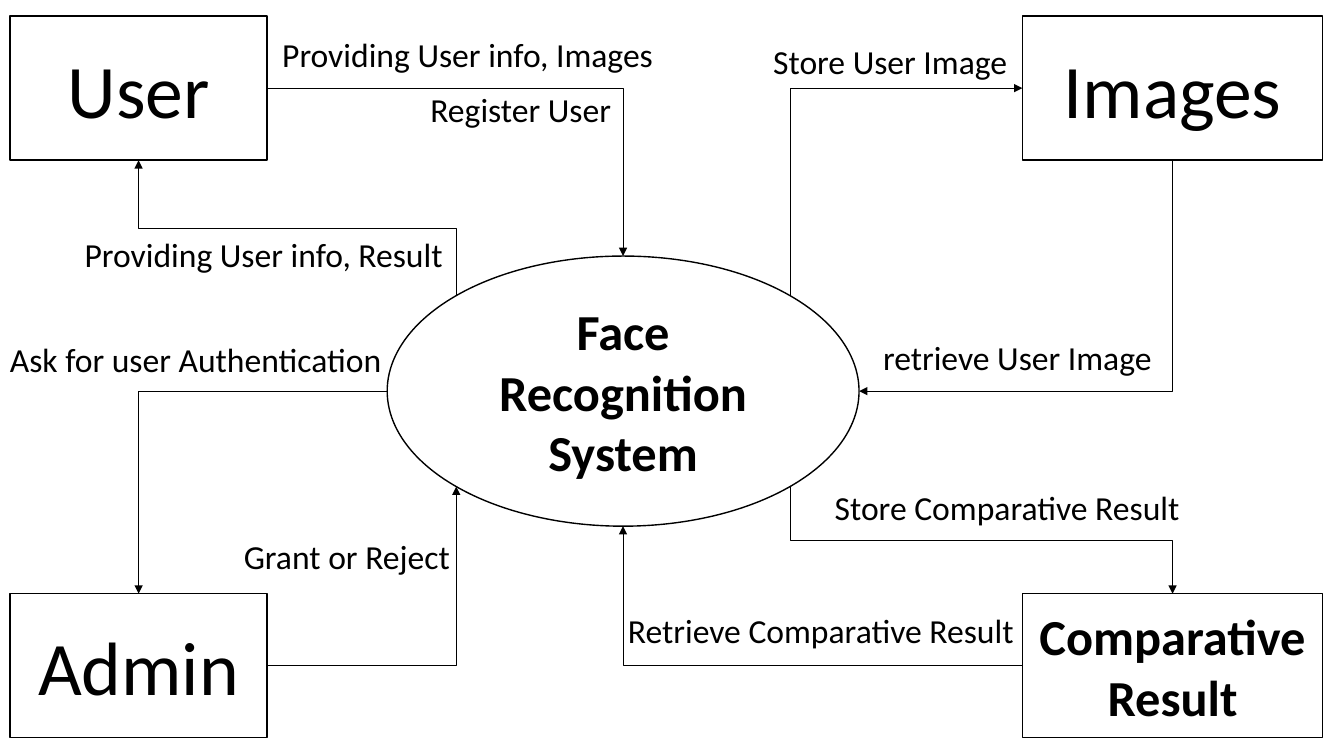
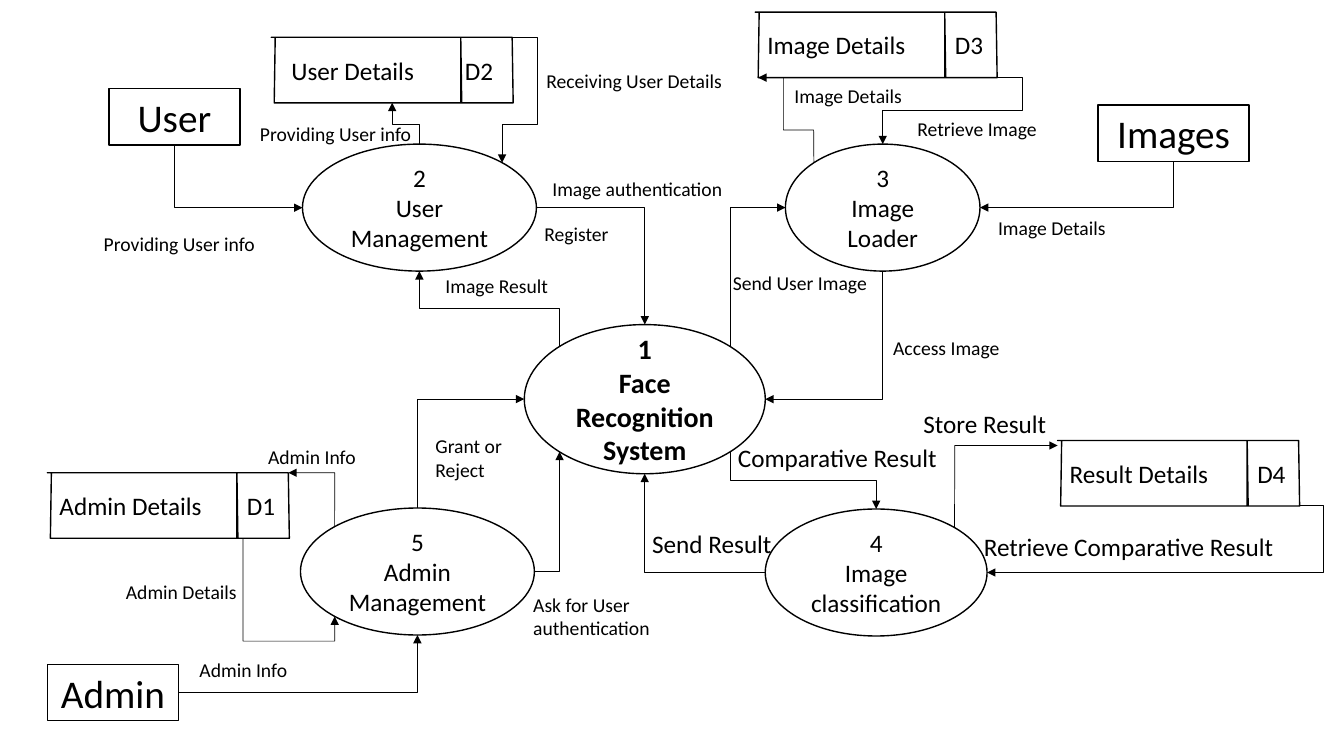
import math
import pptx
import pptx.dml.color
import pptx.enum.shapes
import pptx.enum.text
import pptx.oxml.ns
import pptx.util
from lxml import etree

COLORS = {"ink": "000000", "paper": "FFFFFF"}
FONT = "Calibri"
COLUMNS, ROWS = 133.3, 75
DIAGONAL = math.sqrt(0.5)
SITES = {
    "top": (0, -1), "top left": (-DIAGONAL, -DIAGONAL), "left": (-1, 0),
    "bottom left": (-DIAGONAL, DIAGONAL), "bottom": (0, 1),
    "bottom right": (DIAGONAL, DIAGONAL), "right": (1, 0),
    "top right": (DIAGONAL, -DIAGONAL),
}
SIDES = ["top", "left", "bottom", "right"]
SHAPES = pptx.enum.shapes.MSO_SHAPE
qn = pptx.oxml.ns.qn


def color(name):
    return pptx.dml.color.RGBColor.from_string(COLORS[name])


def format_text(text_frame, text, size, bold=False, alignment=None):
    text_frame.text = text
    for paragraph in text_frame.paragraphs:
        paragraph.alignment = alignment
        for run in paragraph.runs:
            run.font.size = pptx.util.Pt(size)
            run.font.name = FONT
            run.font.bold = bold
            run.font.color.rgb = color("ink")


def outline(shape, width):
    shape.line.color.rgb = color("ink")
    shape.line.width = pptx.util.Pt(width)


def paint(shape):
    shape.shadow.inherit = False
    shape.fill.solid()
    shape.fill.fore_color.rgb = color("paper")
    outline(shape, 1)
    shape.text_frame.vertical_anchor = pptx.enum.text.MSO_ANCHOR.MIDDLE


def add_arrowhead(shape):
    line = shape.element.spPr.find(qn("a:ln"))
    etree.SubElement(line, qn("a:tailEnd"), type="triangle")


class Diagram:
    def __init__(self, slide, area):
        self.shapes = slide.shapes
        self.left, self.top, width, height = area
        self.column, self.row = width / COLUMNS, height / ROWS
        self.nodes = {}

    def at(self, column, row):
        return (round(self.left + column * self.column),
                round(self.top + row * self.row))

    def span(self, columns, rows):
        return round(columns * self.column), round(rows * self.row)

    def node(self, name, kind, box, text, size, bold=False):
        shape = self.shapes.add_shape(kind, *self.at(*box[:2]), *self.span(*box[2:]))
        paint(shape)
        shape.text_frame.word_wrap = True
        format_text(shape.text_frame, text, size, bold, pptx.enum.text.PP_ALIGN.CENTER)
        self.nodes[name] = shape

    def store(self, column, row, label, code, indent=1.2, code_column=19.8):
        corners = [(23.9, 0), (24, 6.5), (18.8, 6.5), (18.8, 0),
                   (18.9, 6.5), (0.3, 6.5), (0.4, 0)]
        builder = self.shapes.build_freeform(*self.at(column, row), scale=1.0)
        builder.add_line_segments([self.at(column + x, row + y) for x, y in corners])
        shape = builder.convert_to_shape()
        paint(shape)
        frame = shape.text_frame
        frame.word_wrap = True
        frame.margin_left, frame.margin_right = self.span(indent, 0)[0], 0
        format_text(frame, f"{label}\t{code}", 18, alignment=pptx.enum.text.PP_ALIGN.LEFT)
        properties = frame.paragraphs[0]._p.get_or_add_pPr()
        tabs = etree.SubElement(properties, qn("a:tabLst"))
        position = self.span(code_column - indent, 0)[0]
        etree.SubElement(tabs, qn("a:tab"), pos=str(position), algn="l")

    def site(self, name, side):
        shape = self.nodes[name]
        across, down = SITES[side]
        return (round(shape.left + shape.width * (1 + across) / 2),
                round(shape.top + shape.height * (1 + down) / 2))

    def site_index(self, name, side):
        is_ellipse = self.nodes[name].auto_shape_type == SHAPES.OVAL
        return (list(SITES) if is_ellipse else SIDES).index(side)

    def flow(self, start, end):
        (x1, y1), (x2, y2) = self.site(*start), self.site(*end)
        sideways = start[1] in ("left", "right")
        same_axis = sideways == (end[1] in ("left", "right"))
        connector = self.shapes.add_connector(
            pptx.enum.shapes.MSO_CONNECTOR.ELBOW, x1, y1, x2, y2)
        properties = connector.element.spPr
        preset = "bentConnector3" if same_axis else "bentConnector2"
        properties.find(qn("a:prstGeom")).set("prst", preset)
        along, across = (x2 - x1, y2 - y1) if sideways else (y2 - y1, x1 - x2)
        connector.width, connector.height = abs(along), abs(across)
        connector.left = round((x1 + x2 - abs(along)) / 2)
        connector.top = round((y1 + y2 - abs(across)) / 2)
        transform = properties.find(qn("a:xfrm"))
        transform.set("rot", "0" if sideways else "5400000")
        transform.set("flipH", str(int(along < 0)))
        transform.set("flipV", str(int(across < 0)))
        joints = next(connector.element.iter(qn("p:cNvCxnSpPr")))
        for tag, joint in (("a:stCxn", start), ("a:endCxn", end)):
            etree.SubElement(joints, qn(tag), id=str(self.nodes[joint[0]].shape_id),
                             idx=str(self.site_index(*joint)))
        outline(connector, 0.5)
        add_arrowhead(connector)
        etree.SubElement(properties, qn("a:effectLst"))

    def trail(self, *stops):
        points = [self.site(*stop) if isinstance(stop[0], str) else self.at(*stop)
                  for stop in stops]
        builder = self.shapes.build_freeform(*points[0], scale=1.0)
        builder.add_line_segments(points[1:], close=False)
        shape = builder.convert_to_shape()
        shape.shadow.inherit = False
        shape.fill.background()
        outline(shape, 0.5)
        add_arrowhead(shape)

    def label(self, size, text, column, row, columns):
        rows = size * 0.17 * (text.count("\n") + 1) + 1
        box = self.shapes.add_textbox(*self.at(column, row), *self.span(columns, rows))
        box.text_frame.word_wrap = False
        box.text_frame.auto_size = pptx.enum.text.MSO_AUTO_SIZE.SHAPE_TO_FIT_TEXT
        format_text(box.text_frame, text, size)


def draw_context(slide, area):
    diagram = Diagram(slide, area)
    for name, box, size, bold in [
        ("User", (1, 1.6, 25.5, 14.3), 54, False),
        ("Admin", (1, 58.9, 25.5, 14.3), 54, False),
        ("Images", (101.4, 1.6, 29.8, 14.3), 54, False),
        ("Comparative Result", (101.4, 58.9, 29.8, 14.3), 36, True),
    ]:
        diagram.node(name, SHAPES.RECTANGLE, box, name, size, bold)
    diagram.node("System", SHAPES.OVAL, (38.4, 25.4, 46.8, 26.8),
                 "Face Recognition System", 36, True)
    for start, end in [
        (("User", "right"), ("System", "top")),
        (("System", "top left"), ("User", "bottom")),
        (("System", "top right"), ("Images", "left")),
        (("Images", "bottom"), ("System", "right")),
        (("System", "left"), ("Admin", "top")),
        (("Admin", "right"), ("System", "bottom left")),
        (("System", "bottom right"), ("Comparative Result", "top")),
        (("Comparative Result", "left"), ("System", "bottom")),
    ]:
        diagram.flow(start, end)
    for label in [
        ("Providing User info, Images", 27, 2.9, 39.1),
        ("Providing User info, Result", 7.4, 22.7, 37.9),
        ("Register User", 41.7, 8.3, 20.1),
        ("Grant or Reject", 23.2, 52.7, 22.7),
        ("Ask for user Authentication", 0, 33.1, 39.3),
        ("Retrieve Comparative Result", 61.3, 60, 40.7),
        ("Store Comparative Result", 81.8, 47.8, 36.5),
        ("Store User Image", 75.7, 3.6, 25.4),
        ("retrieve User Image", 86.6, 32.9, 28.9),
    ]:
        diagram.label(24, *label)


def draw_processes(slide, area):
    diagram = Diagram(slide, area)
    for name, box in [
        ("User", (10.8, 8.8, 13, 5.6)),
        ("Admin", (4.7, 65.9, 13, 5.6)),
        ("Images", (108.9, 10.4, 15, 5.6)),
    ]:
        diagram.node(name, SHAPES.RECTANGLE, box, name, 28)
    for number, name, box, size in [
        (1, "Face Recognition System", (52, 32.2, 23.9, 14.8), 20),
        (2, "User Management", (30, 14.3, 23.2, 12.6), 18),
        (3, "Image Loader", (77.9, 14.3, 19.3, 12.6), 18),
        (4, "Image classification", (75.9, 50.5, 22, 12.6), 18),
        (5, "Admin Management", (29.8, 50.4, 23.2, 12.6), 18),
    ]:
        diagram.node(f"P{number}", SHAPES.OVAL, box, f"{number}\n{name}", size, number == 1)
    diagram.store(26.9, 3.7, "User Details", "D2", 2, 19.2)
    diagram.store(74.9, 1.2, "Image Details", "D3")
    diagram.store(4.7, 46.9, "Admin Details", "D1")
    diagram.store(104.9, 43.7, "Result Details", "D4")
    for start, end in [
        (("P2", "right"), ("P1", "top")),
        (("P1", "top left"), ("P2", "bottom")),
        (("P1", "top right"), ("P3", "left")),
        (("P3", "bottom"), ("P1", "right")),
        (("P5", "top"), ("P1", "left")),
        (("P5", "right"), ("P1", "bottom left")),
        (("P1", "bottom right"), ("P4", "top")),
        (("P4", "left"), ("P1", "bottom")),
        (("User", "bottom"), ("P2", "left")),
        (("Images", "bottom"), ("P3", "right")),
        (("Admin", "right"), ("P5", "bottom")),
    ]:
        diagram.flow(start, end)
    for stops in [
        (("P2", "top"), (41.6, 12.3), (38.9, 12.3), (38.9, 10.2)),
        ((50.8, 3.7), (53.3, 3.7), (53.3, 12.3), (49.8, 12.3), ("P2", "top right")),
        (("P3", "top left"), (80.7, 12.9), (77.7, 12.9), (77.7, 7.7), (75.2, 7.7)),
        ((98.9, 7.7), (101.4, 7.7), (101.4, 11), (87.55, 11), ("P3", "top")),
        (("P5", "top left"), (33.2, 46.9), (28.6, 46.9)),
        ((24.1, 53.4), (24.1, 63.6), (33.2, 63.6), ("P5", "bottom left")),
        (("P4", "top right"), (94.7, 44.2), (104.9, 44.2)),
        ((128.8, 50.1), (131.3, 50.1), (131.3, 56.8), ("P4", "right")),
    ]:
        diagram.trail(*stops)
    for label in [
        (14, "Providing User info", 9.3, 22.5, 17.2),
        (14, "Providing User info", 24.8, 11.6, 17.2),
        (14, "Receiving User Details", 53.2, 6.3, 19.6),
        (14, "Image authentication", 53.8, 17.1, 19.1),
        (14, "Register", 53, 21.5, 8.5),
        (14, "Image Result", 43.2, 26.7, 12.3),
        (14, "Ask for User\nauthentication", 51.9, 58.3, 13.7),
        (14, "Admin Info", 18.8, 64.8, 10.8),
        (14, "Admin Info", 25.6, 43.6, 10.8),
        (14, "Admin Details", 11.5, 57, 13.1),
        (14, "Grant or\nReject", 42.2, 42.6, 8.7),
        (14, "Image Details", 98, 20.9, 12.8),
        (14, "Image Details", 77.8, 7.8, 12.8),
        (14, "Retrieve Image", 90, 11.1, 14),
        (14, "Access Image", 87.6, 32.8, 12.7),
        (14, "Send User Image", 71.7, 26.4, 15.4),
        (18, "Comparative Result", 72.2, 43.4, 22),
        (18, "Retrieve Comparative Result", 96.6, 52.2, 31),
        (18, "Store Result", 90.6, 40, 14.3),
        (18, "Send Result", 63.7, 51.9, 14),
    ]:
        diagram.label(*label)


def main():
    presentation = pptx.Presentation()
    presentation.slide_width = pptx.util.Inches(13.33)
    presentation.slide_height = pptx.util.Inches(7.5)
    area = (0, 0, presentation.slide_width, presentation.slide_height)
    for draw in (draw_context, draw_processes):
        draw(presentation.slides.add_slide(presentation.slide_layouts[6]), area)
    presentation.save("out.pptx")


if __name__ == "__main__":
    main()
